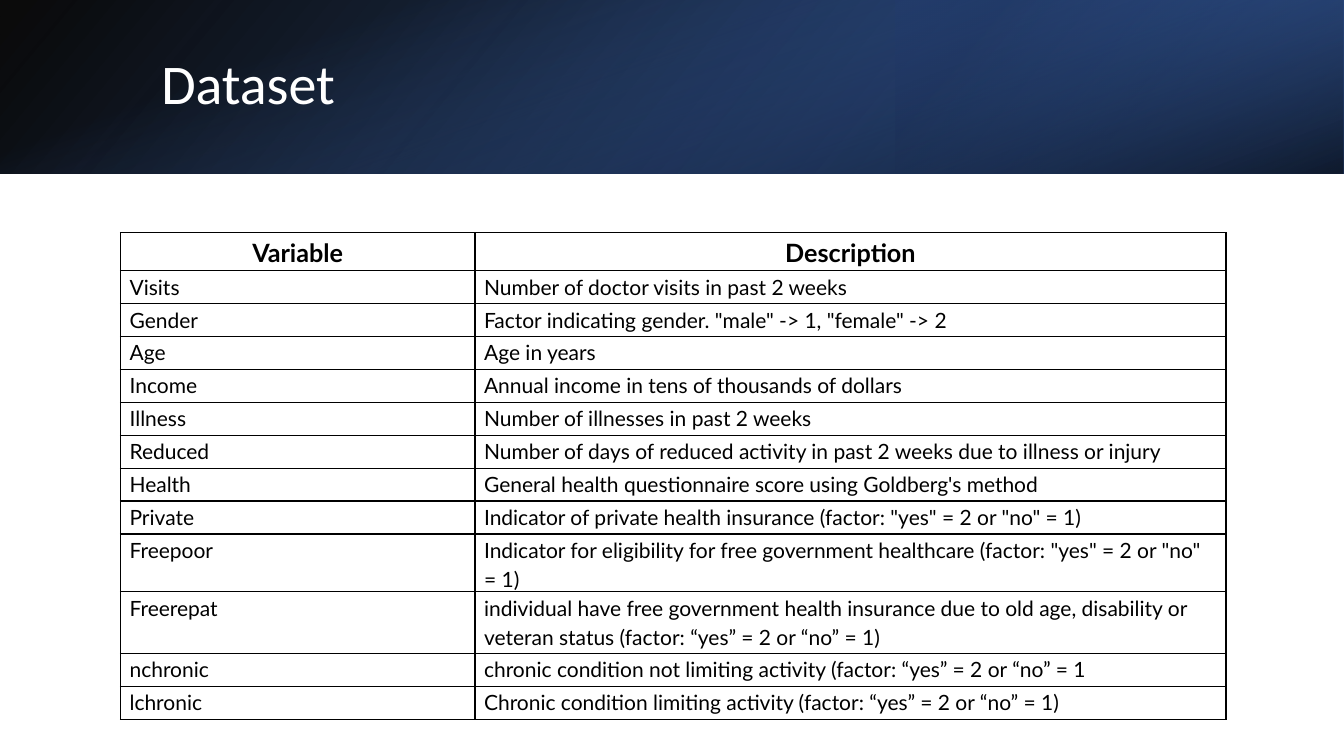
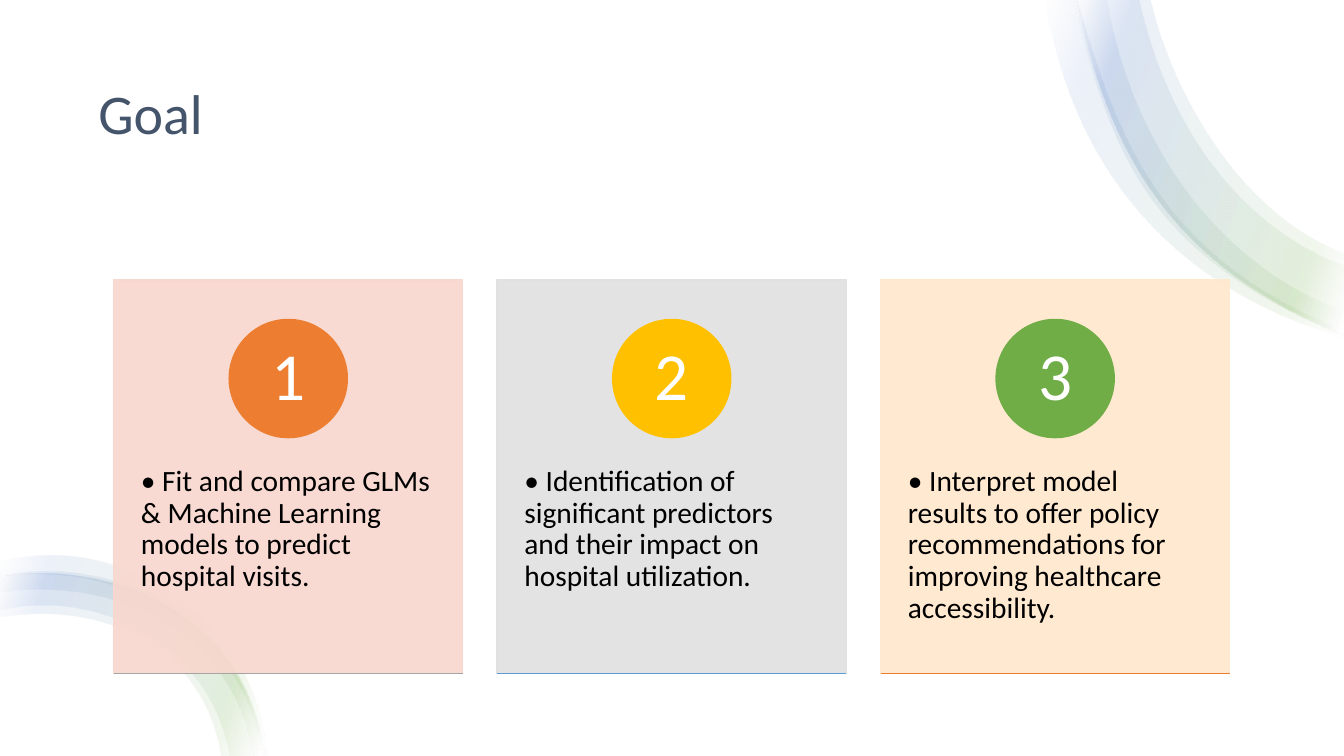
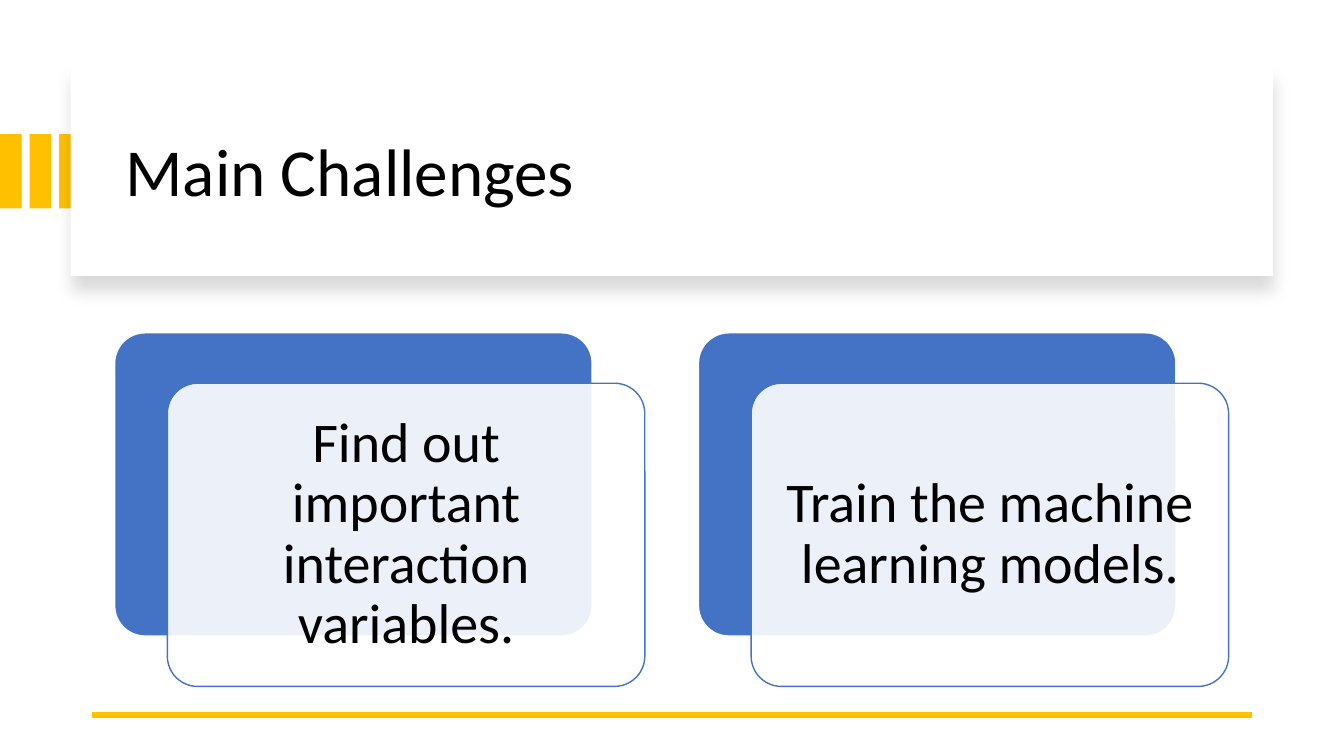
"""Build three slides on a health care visits study: dataset, goal and challenges."""
from lxml import etree
from pptx import Presentation
from pptx import util as u
from pptx.dml.color import RGBColor
from pptx.enum import shapes, text
from pptx.oxml import ns

Pt = u.Pt
SHAPE = shapes.MSO_SHAPE
ALIGN = text.PP_ALIGN
ANCHOR = text.MSO_ANCHOR
WIDTH, HEIGHT = 960, 540
FONT, TABLE_FONT = "Calibri", "Lato"
COLORS = {
    "white": "FFFFFF", "black": "000000", "slate": "44546A",
    "navy": "203864", "deep": "2F5597", "blue": "4472C4", "sky": "5B9BD5",
    "orange": "ED7D31", "gold": "FFC000", "green": "70AD47", "gray": "A5A5A5",
    "peach": "F8D7CE", "silver": "E1E1E1", "cream": "FFE8CC",
}

VARIABLES = [
    ("Variable", "Description"),
    ("Visits", "Number of doctor visits in past 2 weeks"),
    ("Gender", 'Factor indicating gender. "male" -> 1, "female" -> 2'),
    ("Age", "Age in years"),
    ("Income", "Annual income in tens of thousands of dollars"),
    ("Illness", "Number of illnesses in past 2 weeks"),
    ("Reduced", "Number of days of reduced activity in past 2 weeks due to illness or injury"),
    ("Health", "General health questionnaire score using Goldberg's method"),
    ("Private", 'Indicator of private health insurance (factor: "yes" = 2 or "no" = 1)'),
    ("Freepoor", "Indicator for eligibility for free government healthcare "
                 '(factor: "yes" = 2 or "no" = 1)'),
    ("Freerepat", "individual have free government health insurance due to old age, "
                  "disability or veteran status (factor: “yes” = 2 or “no” = 1)"),
    ("nchronic", "chronic condition not limiting activity (factor: “yes” = 2 or “no” = 1"),
    ("lchronic", "Chronic condition limiting activity (factor: “yes” = 2 or “no” = 1)"),
]
COLUMN_WIDTHS = (253.2, 536.4)
HEADER_HEIGHT, ROW_HEIGHT = 27.2, 23.5
TALL_ROWS = {10: 44}

BAND_HEIGHT = 124
BAND_LAYERS = [
    (0, 40, [(0, "black", 96), (100, "deep", 100)]),
    (640, 40, [(19, "navy", 68), (100, "blue", 79)]),
    (0, 70, [(23, "blue", 0), (99, "black", 74)]),
]

GOALS = [
    ("• Fit and compare GLMs & Machine Learning models to predict hospital visits.",
     "peach", "orange", "gray"),
    ("• Identification of significant predictors and their impact on hospital utilization.",
     "silver", "gold", "sky"),
    ("• Interpret model results to offer policy recommendations for improving "
     "healthcare accessibility.",
     "cream", "green", "orange"),
]
RIBBON_STOPS = [(0, "white", 10), (15, "blue", 10), (84, "green", 10), (98, "white", 10)]
RIBBON_ANGLE = 20
RIBBONS = [
    ([(747, 0), (781, 104), (851, 187), (960, 241)], [(770, 0), (804, 97), (861, 176), (960, 236)]),
    ([(770, 0), (802, 101), (862, 181), (960, 239)], [(822, 0), (850, 74), (897, 139), (960, 181)]),
    ([(767, 0), (798, 99), (854, 177), (960, 240)], [(791, 0), (819, 89), (875, 168), (960, 222)]),
    ([(770, 0), (802, 101), (862, 181), (960, 239)], [(814, 0), (844, 83), (893, 148), (960, 190)]),
    ([(0, 412), (79, 416), (150, 457), (189, 540)], [(0, 441), (68, 443), (126, 475), (158, 540)]),
    ([(0, 412), (79, 416), (150, 457), (189, 540)], [(0, 436), (71, 438), (131, 474), (164, 540)]),
    ([(0, 411), (83, 415), (153, 458), (189, 540)], [(0, 423), (76, 427), (143, 464), (181, 540)]),
    ([(0, 402), (84, 405), (156, 454), (190, 540)], [(0, 412), (79, 418), (148, 459), (188, 540)]),
]

CHALLENGES = ["Find out important interaction variables.", "Train the machine learning models."]


def rgb(name):
    return RGBColor.from_string(COLORS[name])


def add_child(parent, tag, **attributes):
    return etree.SubElement(parent, ns.qn(tag), {key: str(value) for key, value in attributes.items()})


def paint(shape, fill, line=None, opacity=100):
    """Give a shape its fill and line, with no shadow."""
    shape.shadow.inherit = False
    shape.fill.solid()
    shape.fill.fore_color.rgb = rgb(fill)
    if line:
        shape.line.color.rgb = rgb(line)
        shape.line.width = Pt(1)
    else:
        shape.line.fill.background()
    if opacity < 100:
        color = shape.element.spPr.find(ns.qn("a:solidFill"))[0]
        add_child(color, "a:alpha", val=opacity * 1000)


def paint_gradient(shape, stops, angle):
    """Fill a shape with a linear gradient of (position, colour, opacity) stops."""
    paint(shape, "white")
    properties = shape.element.spPr
    gradient = etree.Element(ns.qn("a:gradFill"), rotWithShape="1")
    stop_list = add_child(gradient, "a:gsLst")
    for position, name, opacity in stops:
        stop = add_child(stop_list, "a:gs", pos=position * 1000)
        color = add_child(stop, "a:srgbClr", val=COLORS[name])
        add_child(color, "a:alpha", val=opacity * 1000)
    add_child(gradient, "a:lin", ang=angle * 60000, scaled=0)
    properties.replace(properties.find(ns.qn("a:solidFill")), gradient)


def add_box(slide, kind, left, top, width, height):
    return slide.shapes.add_shape(kind, Pt(left), Pt(top), Pt(width), Pt(height))


def add_line(slide, left, right, y, color, weight):
    line = slide.shapes.add_connector(shapes.MSO_CONNECTOR.STRAIGHT, Pt(left), Pt(y), Pt(right), Pt(y))
    line.line.color.rgb = rgb(color)
    line.line.width = Pt(weight)
    add_child(line.element.spPr, "a:effectLst")


def write(holder, words, size, color="black", align=ALIGN.LEFT, anchor=ANCHOR.MIDDLE, margins=(7.2, 3.6)):
    """Set one paragraph of text in a shape."""
    frame = holder.text_frame
    frame.word_wrap = True
    frame.auto_size = text.MSO_AUTO_SIZE.NONE
    frame.vertical_anchor = anchor
    frame.margin_left = frame.margin_right = Pt(margins[0])
    frame.margin_top = frame.margin_bottom = Pt(margins[1])
    frame.text = words
    style(frame.paragraphs[0], size, color, align, 0.9)


def style(paragraph, size, color, align, spacing, name=FONT, bold=False):
    paragraph.alignment = align
    paragraph.line_spacing = spacing
    paragraph.font.name = name
    paragraph.font.size = Pt(size)
    paragraph.font.bold = bold
    paragraph.font.color.rgb = rgb(color)


def add_title(slide, words, left, top, width, height, size, color):
    """Place the title placeholder in front of what is already drawn."""
    title = slide.shapes.title
    title.left, title.top, title.width, title.height = map(Pt, (left, top, width, height))
    write(title, words, size, color)
    title.element.getparent().append(title.element)


def format_cell(cell, words, is_header):
    cell.text = words
    cell.margin_left = cell.margin_right = Pt(6.5)
    cell.margin_top = cell.margin_bottom = Pt(0)
    paragraph = cell.text_frame.paragraphs[0]
    paragraph.space_after = Pt(8)
    style(paragraph, 18 if is_header else 15, "black",
          ALIGN.CENTER if is_header else ALIGN.LEFT, 1.15, TABLE_FONT, is_header)
    properties = cell._tc.get_or_add_tcPr()
    for side in ("a:lnL", "a:lnR", "a:lnT", "a:lnB"):
        border = add_child(properties, side, w=Pt(1))
        add_child(add_child(border, "a:solidFill"), "a:srgbClr", val=COLORS["black"])
    cell.fill.background()


def build_dataset(slide):
    for left, angle, stops in BAND_LAYERS:
        layer = add_box(slide, SHAPE.RECTANGLE, left, 0, WIDTH - left, BAND_HEIGHT)
        paint_gradient(layer, stops, angle)
    add_title(slide, "Dataset", 108, 27.4, 790, 69, 40, "white")
    heights = [TALL_ROWS.get(row, ROW_HEIGHT) for row in range(len(VARIABLES))]
    heights[0] = HEADER_HEIGHT
    table = slide.shapes.add_table(len(VARIABLES), 2, Pt(86.1), Pt(166.2),
                                   Pt(sum(COLUMN_WIDTHS)), Pt(sum(heights))).table
    table.first_row = table.horz_banding = False
    for column, width in zip(table.columns, COLUMN_WIDTHS):
        column.width = Pt(width)
    for index, (row, height) in enumerate(zip(table.rows, heights)):
        row.height = Pt(height)
        for cell, words in zip(row.cells, VARIABLES[index]):
            format_cell(cell, words, index == 0)


def curve(points, steps=24):
    """Return points along the cubic that passes through four given points."""
    result = []
    for step in range(steps + 1):
        t = 3 * step / steps
        weights = (-(t - 1) * (t - 2) * (t - 3) / 6, t * (t - 2) * (t - 3) / 2,
                   -t * (t - 1) * (t - 3) / 2, t * (t - 1) * (t - 2) / 6)
        result.append(tuple(Pt(sum(w * point[axis] for w, point in zip(weights, points)))
                            for axis in (0, 1)))
    return result


def build_goal(slide):
    paint(add_box(slide, SHAPE.RECTANGLE, 0, 0, WIDTH, HEIGHT), "white")
    add_title(slide, "Goal", 63, 36, 833, 93.6, 40, "slate")
    for outer, inner in RIBBONS:
        outline = curve(outer) + curve(inner)[::-1]
        builder = slide.shapes.build_freeform(*outline[0])
        builder.add_line_segments(outline[1:], close=True)
        paint_gradient(builder.convert_to_shape(), RIBBON_STOPS, RIBBON_ANGLE)
    top, width, height, pitch, diameter = 200, 249.4, 281, 273.9, 84.4
    for index, (goal, fill, accent, rule) in enumerate(GOALS):
        left = 81.2 + index * pitch
        card = add_box(slide, SHAPE.RECTANGLE, left, top, width, height)
        paint(card, fill, fill, 90)
        label = slide.shapes.add_textbox(Pt(left), Pt(top + 106.9), Pt(width), Pt(168.5))
        write(label, goal, 21, anchor=ANCHOR.TOP, margins=(19.5, 26))
        circle = add_box(slide, SHAPE.OVAL, left + (width - diameter) / 2, top + 28.2, diameter, diameter)
        paint(circle, accent, accent)
        write(circle, str(index + 1), 48, "white", ALIGN.CENTER, margins=(6.5, 0.7))
        add_line(slide, left, left + width, top + height, rule, 1)


def build_challenges(slide):
    for index in range(3):
        paint(add_box(slide, SHAPE.RECTANGLE, index * 21.1, 95.8, 15.4, 53), "gold")
    panel = add_box(slide, SHAPE.RECTANGLE, 50.4, 48.2, 859, 149)
    paint(panel, "white")
    shadow = add_child(panel.element.spPr.find(ns.qn("a:effectLst")), "a:outerShdw",
                       blurRad=Pt(11), dist=Pt(10), dir=90 * 60000, algn="t", rotWithShape=0)
    add_child(add_child(shadow, "a:srgbClr", val=COLORS["black"]), "a:alpha", val=15000)
    add_title(slide, "Main Challenges", 82.4, 63.8, 801, 122.2, 48, "black")
    add_line(slide, 66, 894, 510.5, "gold", 4.5)
    for index, challenge in enumerate(CHALLENGES):
        left, top = 81.9 + index * 417, 237.7
        for shift_x, shift_y, fill, line, opacity in (
                (0, 0, "blue", "white", 100), (37.6, 36, "white", "blue", 90)):
            box = add_box(slide, SHAPE.ROUNDED_RECTANGLE, left + shift_x, top + shift_y, 341.1, 216.6)
            box.adjustments[0] = 0.1
            paint(box, fill, line, opacity)
        write(box, challenge, 40, align=ALIGN.CENTER, margins=(12.2, 12.2))


def main():
    presentation = Presentation()
    presentation.slide_width, presentation.slide_height = Pt(WIDTH), Pt(HEIGHT)
    for build in (build_dataset, build_goal, build_challenges):
        build(presentation.slides.add_slide(presentation.slide_layouts[5]))
    presentation.save("out.pptx")


if __name__ == "__main__":
    main()
